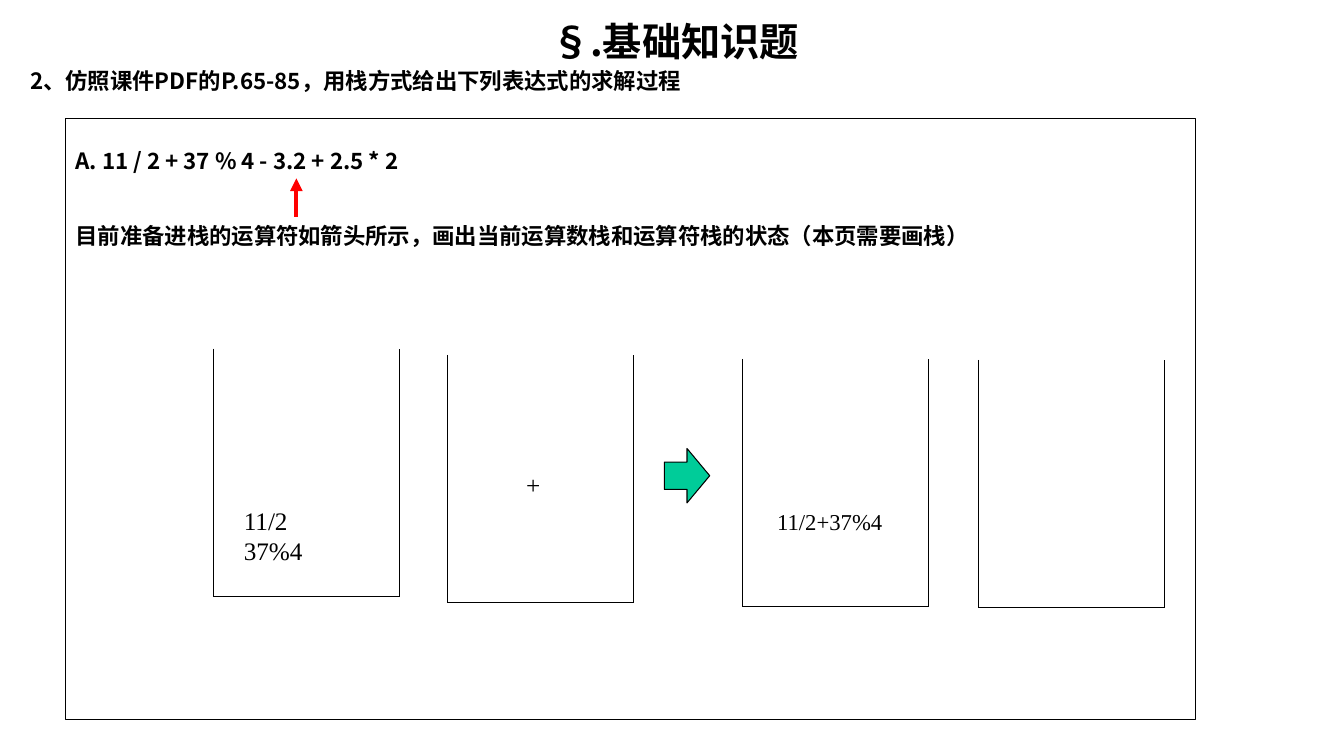
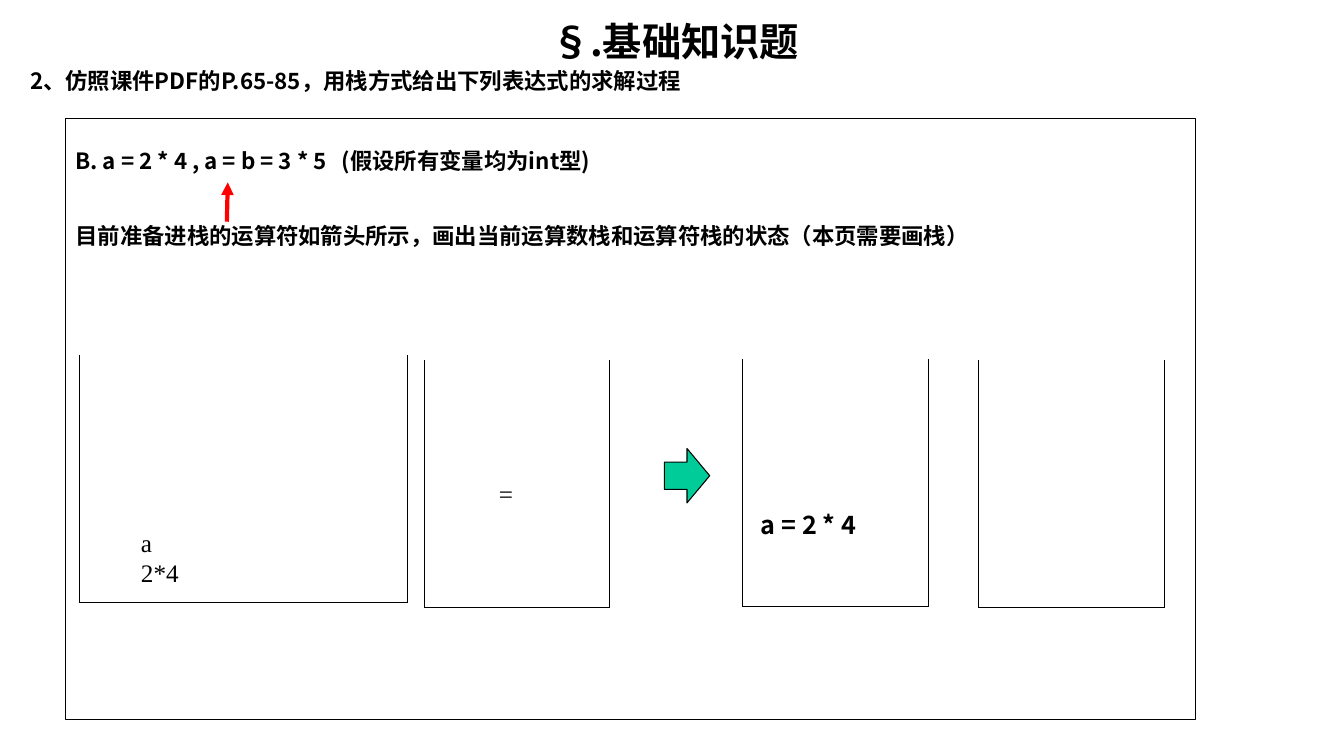
"""Builds two exercise slides that show operand and operator stacks."""
from itertools import pairwise

from lxml.etree import SubElement
from pptx import Presentation
from pptx.dml.color import RGBColor
from pptx.enum.shapes import MSO_CONNECTOR, MSO_SHAPE
from pptx.enum.text import MSO_ANCHOR, PP_ALIGN
from pptx.oxml.ns import qn
from pptx.util import Inches, Pt

THEME = {
    "ink": RGBColor(0x00, 0x00, 0x00),
    "pointer": RGBColor(0xFF, 0x00, 0x00),
    "step": RGBColor(0x00, 0xCC, 0x99),
    "sans": "Noto Sans CJK SC",
    "serif": "Times New Roman",
    "title": Pt(28),
    "body": Pt(16),
    "label": Pt(18),
    "thin": Pt(0.75),
    "thick": Pt(3),
}
HEADING = {"name": THEME["sans"], "size": THEME["title"], "bold": True}
BODY = {**HEADING, "size": THEME["body"]}
BOLD_LABEL = {**HEADING, "size": THEME["label"]}
LABEL = {"name": THEME["serif"], "size": THEME["label"], "bold": False}
LOWERED = {**LABEL, "size": THEME["title"]}

TITLE = "§.基础知识题"
QUESTION = "2、仿照课件PDF的P.65-85，用栈方式给出下列表达式的求解过程"
TASK = "目前准备进栈的运算符如箭头所示，画出当前运算数栈和运算符栈的状态（本页需要画栈）"

STACK_WIDTH, STACK_HEIGHT = 13.8, 32.8
RESULT_STACKS = [(55.28, 47.47, STACK_WIDTH), (72.83, 47.6, STACK_WIDTH)]
SLIDES = [
    {
        "expression": "A. 11 / 2 + 37 % 4 - 3.2 + 2.5 * 2",
        "pointer": [(22.05, 28.67), (22.05, 23.6)],
        "stacks": [(15.9, 46.13, STACK_WIDTH), (33.3, 46.93, STACK_WIDTH)],
        "labels": [
            ((17.4, 66.13, 12.23, 9.47), ["11/2", "37%4"], LABEL),
            ((38.4, 61.47, 3.53, 9.47), ["+"], LABEL),
            ((57.08, 63.07, 11.25, 5.6), ["11/2+37%4"], LOWERED),
        ],
    },
    {
        "expression": "B. a = 2 * 4 , a = b = 3 * 5\t(假设所有变量均为int型)",
        "pointer": [(16.88, 29.33), (16.95, 24.13)],
        "stacks": [(5.93, 46.93, 24.38), (31.58, 47.6, STACK_WIDTH)],
        "labels": [
            ((9.75, 69.07, 16.88, 9.47), ["a", "2*4"], LABEL),
            ((36.38, 62.67, 3.75, 5.33), ["="], LABEL),
            ((55.88, 66.67, 23.1, 5.33), ["a = 2 * 4"], BOLD_LABEL),
        ],
    },
]

prs = Presentation()
prs.slide_width, prs.slide_height = Inches(13.33), Inches(7.5)


def share(*values):
    """Turns alternating percentages of slide width and height into lengths."""
    sides = (prs.slide_width, prs.slide_height)
    return [int(sides[i % 2] * v / 100) for i, v in enumerate(values)]


def write(tf, rows):
    """Fills a text frame with (text, font values, paragraph values) rows."""
    tf.word_wrap = True
    tf.vertical_anchor = MSO_ANCHOR.TOP
    for i, (text, font, layout) in enumerate(rows):
        p = tf.paragraphs[0] if i == 0 else tf.add_paragraph()
        if "\t" in text:
            tabs = SubElement(p._p.get_or_add_pPr(), qn("a:tabLst"))
            SubElement(tabs, qn("a:tab"), pos=str(Inches(2.64)), algn="l")
        for key, value in {"alignment": PP_ALIGN.LEFT, **layout}.items():
            setattr(p, key, value)
        r = p.add_run()
        r.text = text
        for key, value in font.items():
            setattr(r.font, key, value)
        r.font.color.rgb = THEME["ink"]
        rPr = r._r.get_or_add_rPr()
        SubElement(rPr, qn("a:ea"), typeface=font["name"])
        if font is LOWERED:
            rPr.set("baseline", "-25000")


for content in SLIDES:
    s = prs.slides.add_slide(prs.slide_layouts[6])

    sp = s.shapes.add_textbox(*share(1.5, 2.4, 97.43, 94.53))
    write(sp.text_frame, [
        (TITLE, HEADING, {"alignment": PP_ALIGN.CENTER, "line_spacing": 0.9}),
        (QUESTION, BODY, {"line_spacing": 0.9, "space_before": Pt(3.2)}),
    ])

    panel = s.shapes.add_shape(MSO_SHAPE.RECTANGLE, *share(4.88, 15.73, 84.08, 79.47))
    panel.fill.background()
    step = s.shapes.add_shape(MSO_SHAPE.RIGHT_ARROW, *share(49.43, 59.33, 3.38, 7.2))
    step.fill.solid()
    step.fill.fore_color.rgb = THEME["step"]
    for sp in (panel, step):
        sp.shadow.inherit = False
        sp.line.color.rgb = THEME["ink"]
        sp.line.width = THEME["thin"]
    panel.text_frame.margin_top = Inches(0.28)
    write(panel.text_frame, [
        (content["expression"], BODY, {}),
        (TASK, BODY, {"space_before": Pt(34.7)}),
    ])

    lines = [(content["pointer"], "pointer", "thick")]
    for x, y, width in content["stacks"] + RESULT_STACKS:
        right, bottom = x + width, y + STACK_HEIGHT
        corners = [(x, y), (x, bottom), (right, bottom), (right, y)]
        lines += [(side, "ink", "thin") for side in pairwise(corners)]
    for (start, end), color, width in lines:
        line = s.shapes.add_connector(MSO_CONNECTOR.STRAIGHT, *share(*start, *end))
        line.line.color.rgb = THEME[color]
        line.line.width = THEME[width]
        if color == "pointer":
            SubElement(line.line._get_or_add_ln(), qn("a:tailEnd"), type="triangle")
        SubElement(line._element.spPr, qn("a:effectLst"))

    for place, texts, font in content["labels"]:
        sp = s.shapes.add_textbox(*share(*place))
        write(sp.text_frame, [(text, font, {}) for text in texts])

prs.save("out.pptx")
